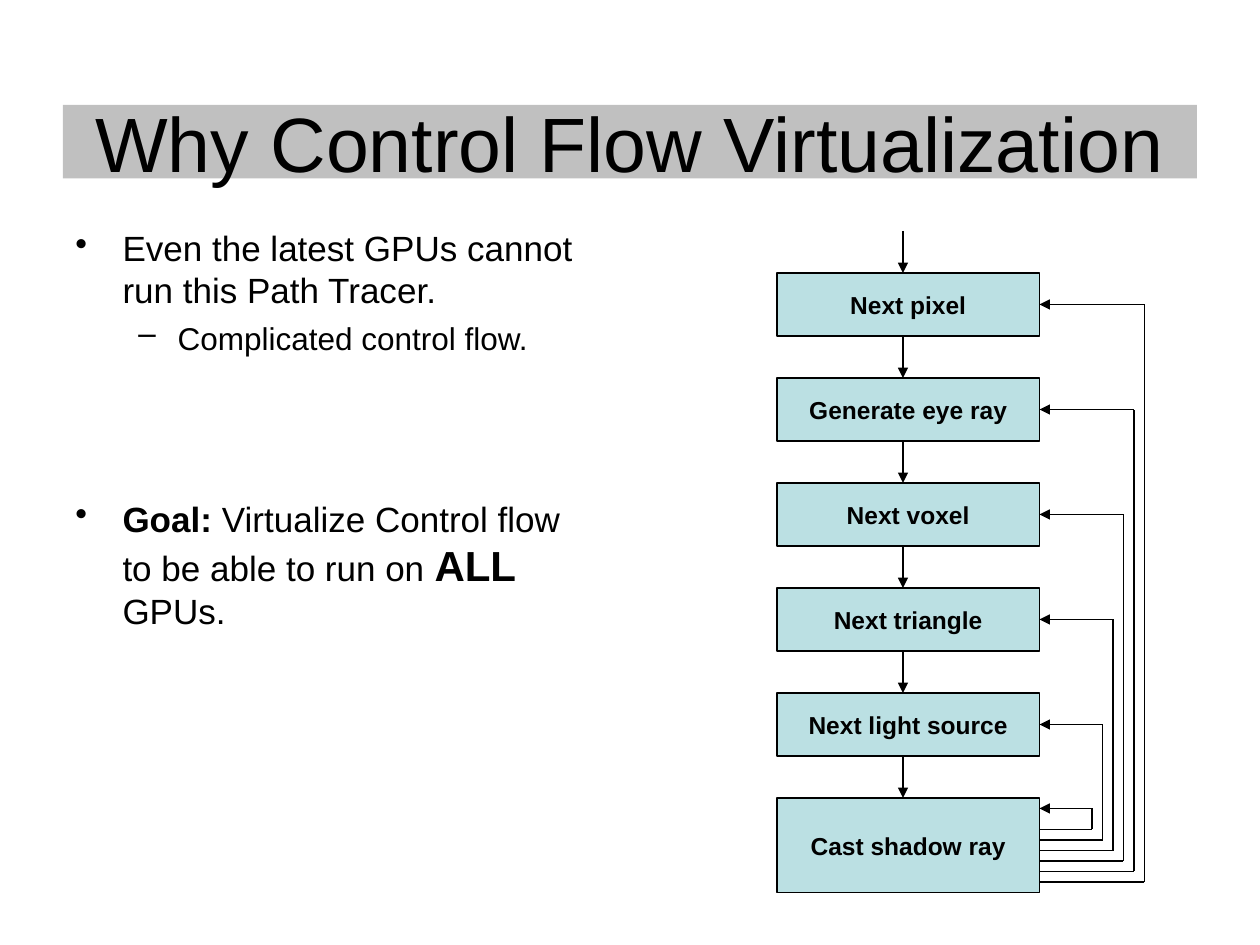
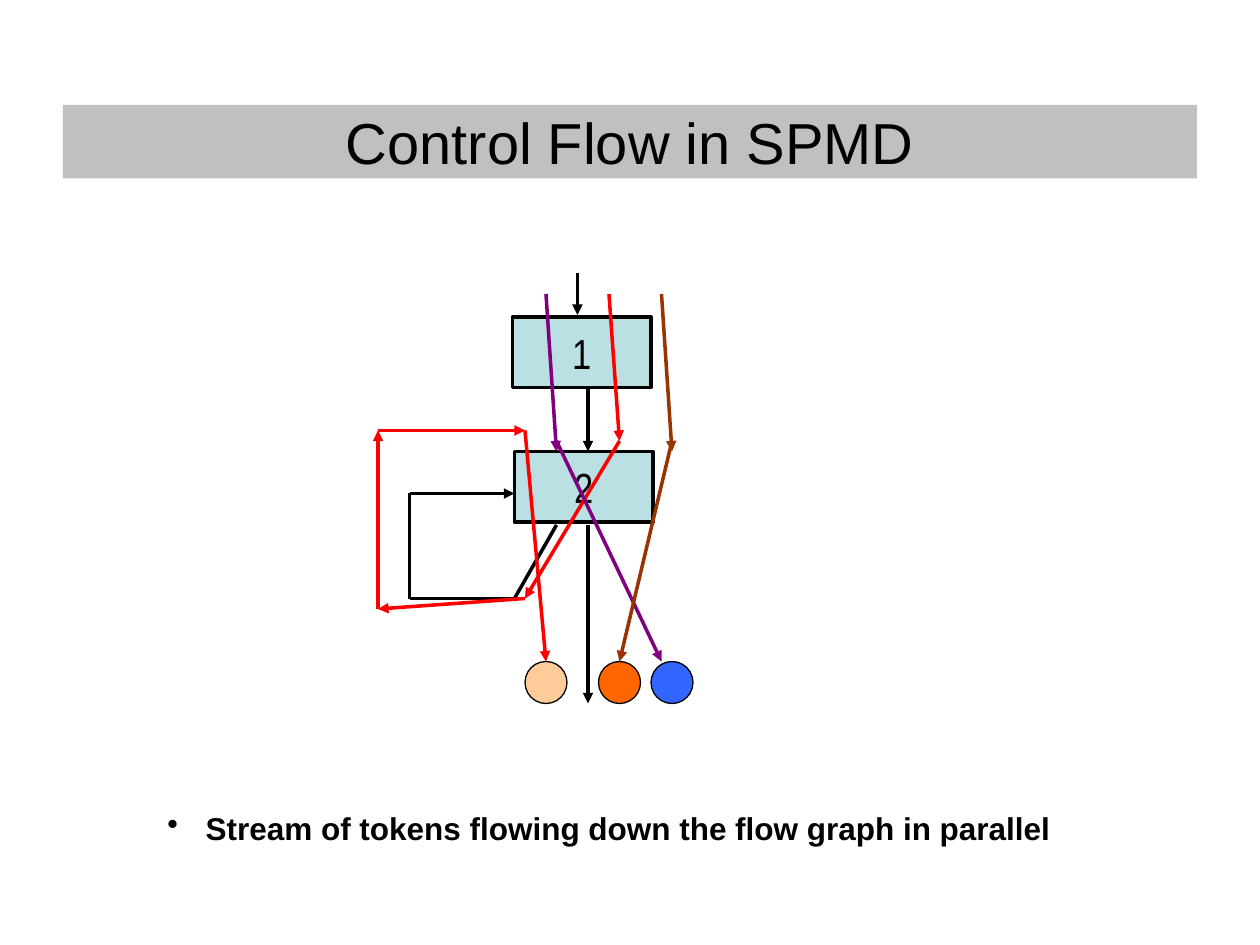
from dataclasses import dataclass

from pptx import Presentation, util as u
from pptx.dml.color import RGBColor
from pptx.enum import shapes, text
from pptx.oxml.ns import qn
from lxml import etree


@dataclass(frozen=True)
class Theme:
    cell: float = 2.54 / 12  # grid step in cm; both slides are laid out on it
    font: str = "Arial"
    narrow: str = "Arial Narrow"
    black: str = "000000"
    band: str = "C0C0C0"
    box: str = "BBE0E3"
    red: str = "FF0000"
    purple: str = "800080"
    brown: str = "993300"
    peach: str = "FFCC99"
    orange: str = "FF6600"
    blue: str = "3366FF"
    body: int = 20
    sub: int = 18
    strong: int = 24
    node: int = 14
    thin: float = 0.75
    thick: float = 2


T = Theme()
SHAPE = shapes.MSO_SHAPE


def add_block(s, at, *paras, kind=None, fill=None, line=0, size=T.body,
              font=T.font, bold=False):
    """Add a shape, or a text box if kind is None, at grid cells (x, y, w, h).

    A paragraph is a string or a dict with runs (text, size, bold), bullet,
    left and hang in cm, and before in points.
    """
    box = [u.Cm(n * T.cell) for n in at]
    if kind is None:
        sp = s.shapes.add_textbox(*box)
    else:
        sp = s.shapes.add_shape(kind, *box)
        sp.shadow.inherit = False
        sp.fill.solid()
        sp.fill.fore_color.rgb = RGBColor.from_string(fill)
        if line:
            sp.line.color.rgb = RGBColor.from_string(T.black)
            sp.line.width = u.Pt(line)
        else:
            sp.line.fill.background()
    tf = sp.text_frame
    tf.word_wrap = True
    tf.vertical_anchor = text.MSO_ANCHOR.MIDDLE if kind else text.MSO_ANCHOR.TOP
    for i, para in enumerate(paras):
        if isinstance(para, str):
            para = {"runs": [(para, size, bold)]}
        p = tf.add_paragraph() if i else tf.paragraphs[0]
        p.alignment = text.PP_ALIGN.CENTER if kind else text.PP_ALIGN.LEFT
        if "bullet" in para:
            pPr = p._p.get_or_add_pPr()
            pPr.set("marL", str(u.Cm(para["left"])))
            pPr.set("indent", str(-u.Cm(para["hang"])))
            etree.SubElement(pPr, qn("a:buChar")).set("char", para["bullet"])
        if "before" in para:
            p.space_before = u.Pt(para["before"])
        for words, pt, heavy in para["runs"]:
            r = p.add_run()
            r.text = words
            r.font.name, r.font.size, r.font.bold = font, u.Pt(pt), heavy
            r.font.color.rgb = RGBColor.from_string(T.black)


def add_path(s, *points, color=T.black, width=T.thin, every=False):
    """Join grid points with lines; an arrowhead ends the last one, or every one."""
    for i in range(1, len(points)):
        ends = [u.Cm(n * T.cell) for n in points[i - 1] + points[i]]
        cx = s.shapes.add_connector(shapes.MSO_CONNECTOR.STRAIGHT, *ends)
        cx.line.color.rgb = RGBColor.from_string(color)
        cx.line.width = u.Pt(width)
        if every or i == len(points) - 1:
            ln = cx.line._get_or_add_ln()
            etree.SubElement(ln, qn("a:tailEnd")).set("type", "triangle")
        etree.SubElement(cx._element.spPr, qn("a:effectLst"))


prs = Presentation()
prs.slide_width, prs.slide_height = u.Cm(25.4), u.Cm(19.05)

slides = []
for title, size in (("Why Control Flow Virtualization", 44),
                    ("Control Flow in SPMD", 33)):
    s = prs.slides.add_slide(prs.slide_layouts[6])
    add_block(s, (6, 10, 108, 7), title, kind=SHAPE.RECTANGLE, fill=T.band, size=size)
    slides.append(s)
why, spmd = slides

# Why Control Flow Virtualization: argument on the left, path tracer on the right
add_block(
    why, (6, 21, 52, 65),
    {"runs": [("Even the latest GPUs cannot run this Path Tracer.", T.body, False)],
     "bullet": "•", "left": 0.95, "hang": 0.95},
    {"runs": [("Complicated control flow.", T.sub, False)],
     "bullet": "–", "left": 2.06, "hang": 0.79, "before": 4.5},
    {"runs": [("Goal:", T.body, True),
              (" Virtualize Control flow to be able to run on ", T.body, False),
              ("ALL", T.strong, True),
              (" GPUs.", T.body, False)],
     "bullet": "•", "left": 0.95, "hang": 0.95, "before": 80.5},
)

steps = ["Next pixel", "Generate eye ray", "Next voxel", "Next triangle",
         "Next light source", "Cast shadow ray"]
left, width, pitch = 74, 25, 10
right = left + width
last = len(steps) - 1
for i, step in enumerate(steps):
    top = 26 + pitch * i
    height = 9 if i == last else 6
    add_block(why, (left, top, width, height), step, kind=SHAPE.RECTANGLE,
              fill=T.box, line=T.thin, size=T.node, bold=True)
    add_path(why, (86, top - 4), (86, top))
    # Each way back leaves the last step and returns outside the ones below it
    lane, leave = 109 - i, 84 - i
    back = top + (1 if i == last else 3)
    add_path(why, (right, leave), (lane, leave), (lane, back), (right, back))

# Control Flow in SPMD: two-step flow graph with three tokens
for number, x, y in (("1", 48.8, 30.2), ("2", 49, 43)):
    add_block(spmd, (x, y, 13.2, 6.7), number, kind=SHAPE.FLOWCHART_PROCESS,
              fill=T.box, line=T.thick, size=T.strong, font=T.narrow)

flow = [((55, 26), (55, 30)),
        ((56, 37), (56, 43)),
        ((56, 50), (56, 67)),
        ((53, 50), (49, 57), (39, 57), (39, 47), (49, 47))]
for points in flow:
    add_path(spmd, *points, width=T.thick)

tokens = [(T.red, [((58, 28), (59, 42), (50, 57), (36, 58), (36, 41), (50, 41), (52, 63))]),
          (T.purple, [((52, 28), (53, 43)), ((53, 42), (63, 63))]),
          (T.brown, [((63, 28), (64, 43)), ((64, 42), (59, 63))])]
for color, paths in tokens:
    for points in paths:
        add_path(spmd, *points, color=color, width=T.thick, every=True)

for x, color in ((50, T.peach), (57, T.orange), (62, T.blue)):
    add_block(spmd, (x, 63, 4, 4), kind=SHAPE.OVAL, fill=color, line=T.thin)

add_block(
    spmd, (14.76, 76.44, 92.16, 4.8),
    {"runs": [("Stream of tokens flowing down the flow graph in parallel", T.sub, True)],
     "bullet": "•", "left": 0.77, "hang": 0.77},
)

prs.save("out.pptx")
